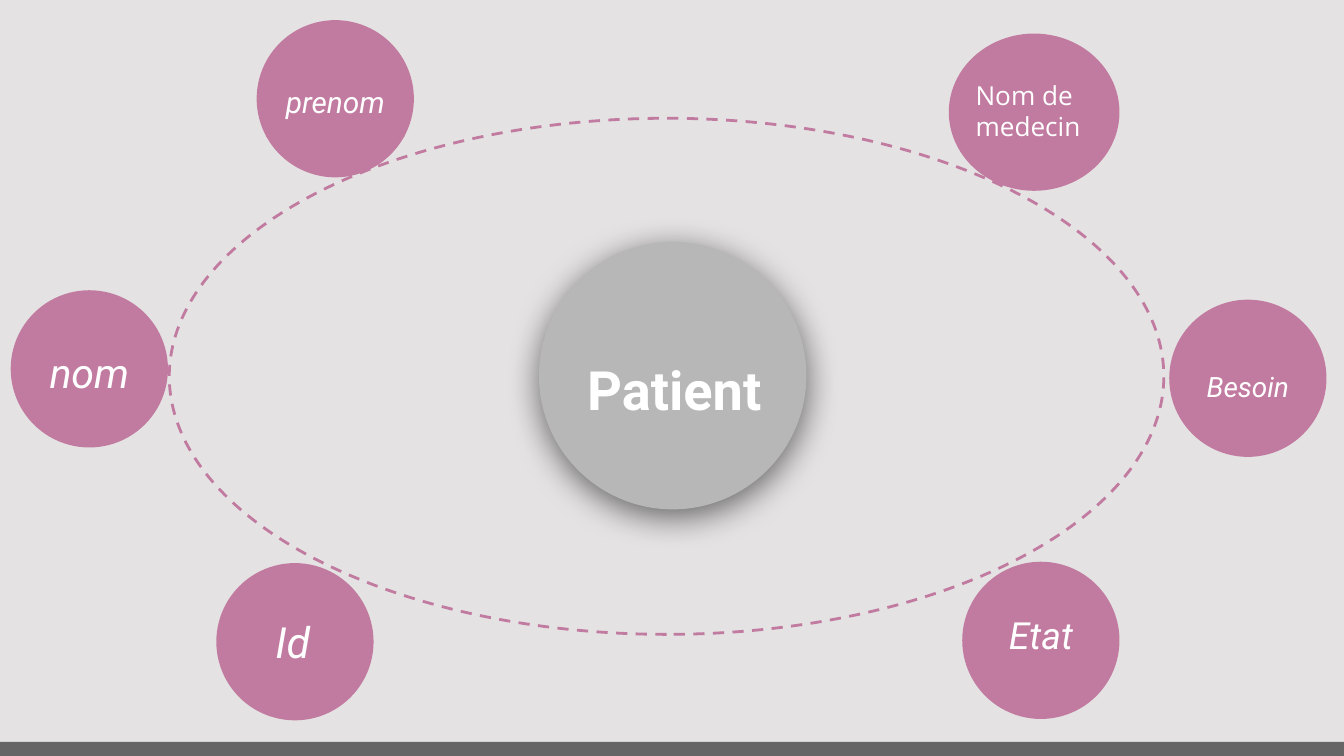
from dataclasses import dataclass

from lxml import etree
from pptx import Presentation
from pptx.dml.color import RGBColor
from pptx.enum import dml, shapes, text
from pptx.oxml import ns
from pptx.util import Inches, Pt

BACKDROP = RGBColor(0xE4, 0xE2, 0xE2)
FOOTER_GREY = RGBColor(0x66, 0x66, 0x66)
PINK = RGBColor(0xC2, 0x7B, 0xA0)
HUB_GREY = RGBColor(0xB7, 0xB7, 0xB7)
WHITE = RGBColor(0xFF, 0xFF, 0xFF)
OVAL, RECT = shapes.MSO_SHAPE.OVAL, shapes.MSO_SHAPE.RECTANGLE
LEFT, CENTER = text.PP_ALIGN.LEFT, text.PP_ALIGN.CENTER

Box = tuple[float, float, float, float]  # left, top, width, height in inches
DISC = 1.17


@dataclass
class Label:
    wording: str
    size: float
    box: Box
    align: text.PP_ALIGN = CENTER
    font: str = "Roboto"
    bold: bool = False
    italic: bool = True
    line_spacing: float = 1.15
    anchor: text.MSO_ANCHOR = text.MSO_ANCHOR.MIDDLE
    top_inset: float = 0.1
    bottom_inset: float = 0.1


@dataclass
class Attribute:
    left: float
    top: float
    label: Label


def add_plain(parent, kind, box: Box, fill: RGBColor | None):
    """Add a flat shape without outline."""
    shape = parent.add_shape(kind, *map(Inches, box))
    shape.shadow.inherit = False
    shape.line.fill.background()
    if fill is None:
        shape.fill.background()
    else:
        shape.fill.solid()
        shape.fill.fore_color.rgb = fill
    return shape


def write(shape, label: Label) -> None:
    frame = shape.text_frame
    frame.word_wrap = True
    frame.vertical_anchor = label.anchor
    frame.margin_left = frame.margin_right = Inches(0.1)
    frame.margin_top = Inches(label.top_inset)
    frame.margin_bottom = Inches(label.bottom_inset)
    paragraph = frame.paragraphs[0]
    paragraph.alignment = label.align
    paragraph.line_spacing = label.line_spacing
    run = paragraph.add_run()
    run.text = label.wording
    font = run.font
    font.name, font.size = label.font, Pt(label.size)
    font.bold, font.italic = label.bold, label.italic
    font.color.rgb = WHITE


def add_labelled_disc(parent, box: Box, fill: RGBColor, label: Label):
    """Group a disc with its label and return the disc."""
    group = parent.add_group_shape().shapes
    disc = add_plain(group, OVAL, box, fill)
    write(add_plain(group, RECT, label.box, fill), label)
    return disc


def add_soft_shadow(shape) -> None:
    effects = shape._element.spPr.find(ns.qn("a:effectLst"))
    shadow = etree.SubElement(effects, ns.qn("a:outerShdw"), blurRad=str(Pt(18)),
                              dist=str(Pt(4)), dir="5400000", algn="bl", rotWithShape="0")
    color = etree.SubElement(shadow, ns.qn("a:srgbClr"), val="000000")
    etree.SubElement(color, ns.qn("a:alpha"), val="55000")


ATTRIBUTES = [
    Attribute(7.16, 4.18, Label("Etat", 20, (7.39, 4.34, 0.71, 0.87), bottom_inset=0.25)),
    Attribute(1.91, 0.15, Label("prenom", 16, (1.98, 0.46, 1.03, 0.56))),
    Attribute(8.7, 2.23, Label("Besoin", 15, (8.87, 2.52, 0.83, 0.67))),
    Attribute(1.61, 4.19, Label("Id", 23, (1.95, 4.37, 0.49, 0.8), LEFT, line_spacing=1)),
    Attribute(0.08, 2.16, Label("nom", 22, (0.25, 2.34, 0.83, 0.8))),
]
PATIENT = Label("Patient", 29, (4.27, 2.26, 1.58, 0.9), LEFT, bold=True, italic=False,
                top_inset=0.39)
DOCTOR = Label("Nom de medecin", 14, (7.16, 0.49, 1.09, 0.67), LEFT, "Open Sans",
               italic=False, line_spacing=1, anchor=text.MSO_ANCHOR.TOP)

deck = Presentation()
deck.slide_width = Inches(10)
deck.slide_height = Inches(10 * 9 / 16)
slide = deck.slides.add_slide(deck.slide_layouts[6])
slide.background.fill.solid()
slide.background.fill.fore_color.rgb = BACKDROP
canvas = slide.shapes

# Footer band
add_plain(canvas, RECT, (0, 5.52, 10, 0.11), FOOTER_GREY)

# Attributes around the patient
add_plain(canvas, OVAL, (7.06, 0.25, 1.27, DISC), PINK)
for attribute in ATTRIBUTES:
    add_labelled_disc(canvas, (attribute.left, attribute.top, DISC, DISC), PINK,
                      attribute.label)

# Dashed orbit
orbit = add_plain(canvas, OVAL, (3.04, -0.9, 3.84, 7.4), None)
orbit.rotation = 270
orbit.line.color.rgb = PINK
orbit.line.width = Pt(1.5)
orbit.line.dash_style = dml.MSO_LINE.DASH

# Patient in the centre
hub = add_labelled_disc(canvas, (4.01, 1.8, 1.99, 1.99), HUB_GREY, PATIENT)
add_soft_shadow(hub)

# Doctor's name
write(canvas.add_textbox(*map(Inches, DOCTOR.box)), DOCTOR)

deck.save("out.pptx")
